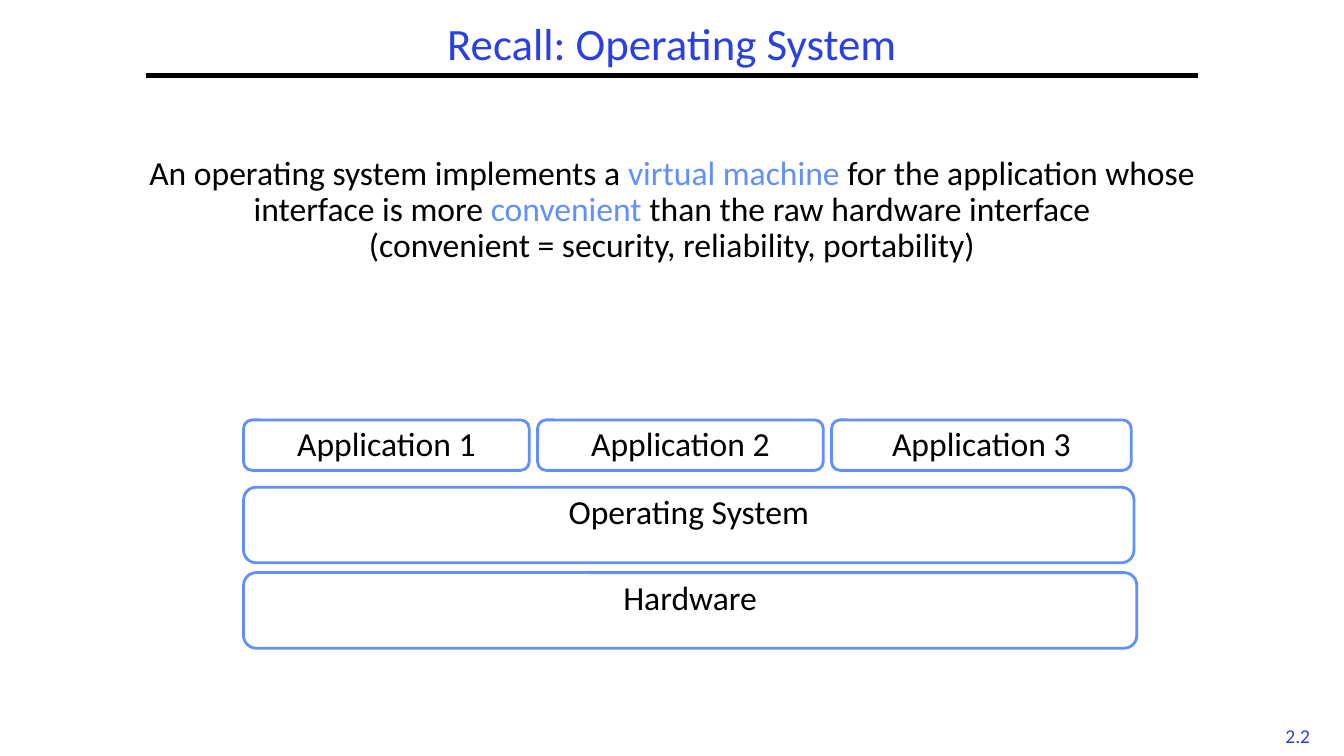
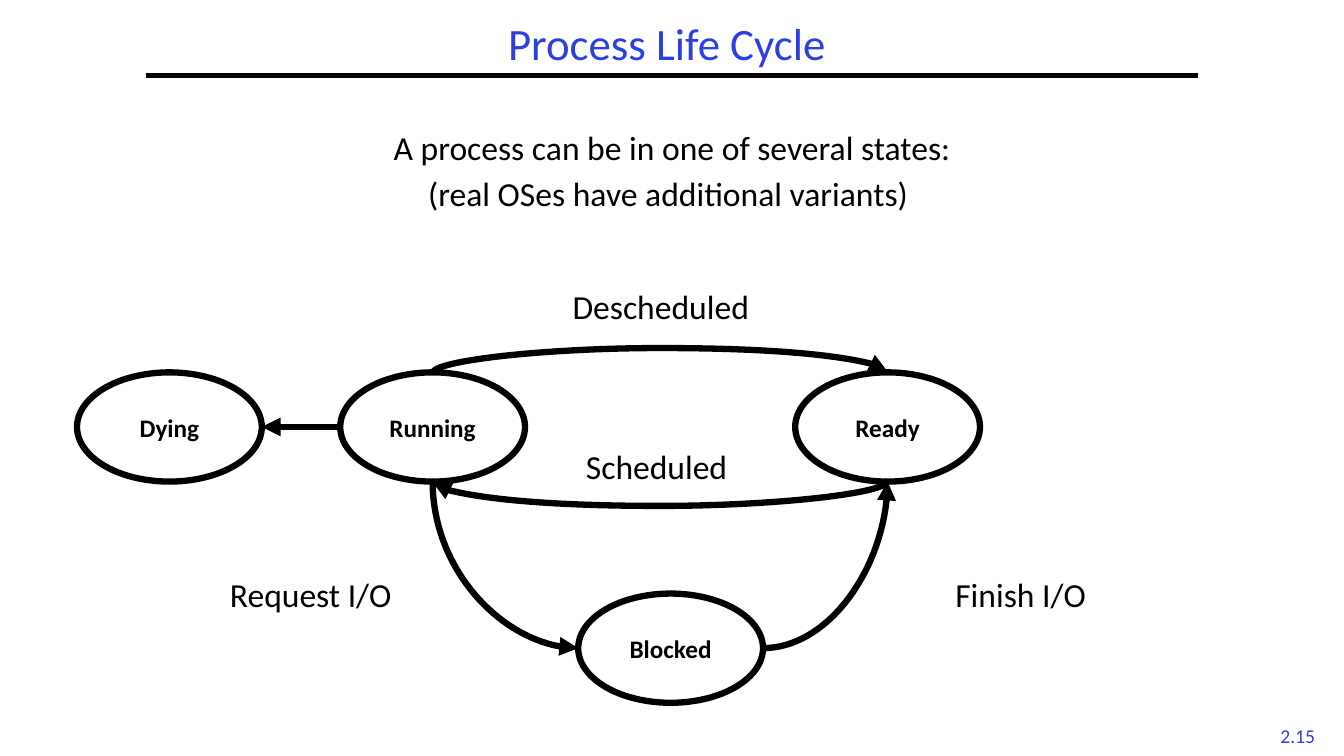
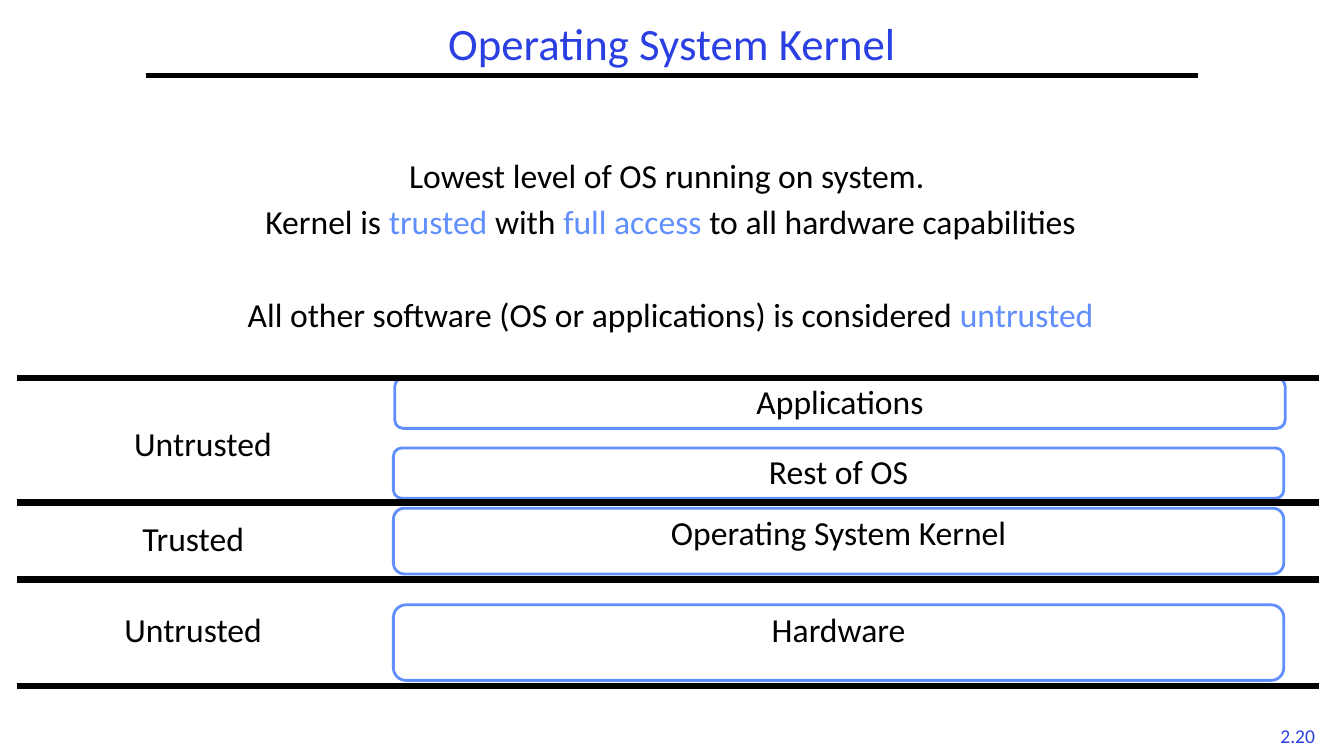
import pptx
import pptx.dml.color
import pptx.enum.shapes
import pptx.enum.text
import pptx.oxml.ns
import pptx.oxml.xmlchemy
import pptx.util

Pt = pptx.util.Pt
RGBColor = pptx.dml.color.RGBColor
qn = pptx.oxml.ns.qn
OxmlElement = pptx.oxml.xmlchemy.OxmlElement
Shapes = pptx.enum.shapes.MSO_SHAPE
Anchor = pptx.enum.text.MSO_ANCHOR
Align = pptx.enum.text.PP_ALIGN

FONT = "Calibri"
BLACK = RGBColor(0x00, 0x00, 0x00)
WHITE = RGBColor(0xFF, 0xFF, 0xFF)
TITLE_BLUE = RGBColor(0x2A, 0x40, 0xE2)
ACCENT_BLUE = RGBColor(0x61, 0x8F, 0xFD)

TEXT_SIZE = 24
HEAVY_LINE = 4.5
PARA_GAP = 7.2
TOP, LEFT, BOTTOM, RIGHT = 0, 2, 4, 6
SITES = {TOP: (0.5, 0), LEFT: (0, 0.5), BOTTOM: (0.5, 1), RIGHT: (1, 0.5)}


def format_para(para, size, color=BLACK, bold=False, spacing=0.9):
    """Centre a paragraph and set the font of its runs."""
    para.alignment = Align.CENTER
    para.line_spacing = spacing
    for span in para.runs:
        span.font.name = FONT
        span.font.size = Pt(size)
        span.font.bold = bold
        span.font.color.rgb = color


def place(shape, left, top, width, height):
    """Move and size a shape, in points."""
    shape.left, shape.top = Pt(left), Pt(top)
    shape.width, shape.height = Pt(width), Pt(height)


def add_label(page, text, left, top, width, height=36, size=TEXT_SIZE,
              color=BLACK, wrap=True):
    """Add a centred text box."""
    box = page.shapes.add_textbox(Pt(left), Pt(top), Pt(width), Pt(height))
    box.text_frame.word_wrap = wrap
    box.text_frame.text = text
    format_para(box.text_frame.paragraphs[0], size, color)


def add_node(page, kind, text, bounds, line_color, line_width):
    """Add a white outlined shape holding one centred line of text."""
    node = page.shapes.add_shape(kind, *map(Pt, bounds))
    node.shadow.inherit = False
    node.fill.solid()
    node.fill.fore_color.rgb = WHITE
    node.line.color.rgb = line_color
    node.line.width = Pt(line_width)
    node.text_frame.text = text
    return node


def add_layer(page, text, left, top, width, height):
    """Add a rounded box for one layer of the system."""
    layer = add_node(page, Shapes.ROUNDED_RECTANGLE, text,
                     (left, top, width, height), ACCENT_BLUE, 2)
    layer.text_frame.vertical_anchor = Anchor.TOP
    format_para(layer.text_frame.paragraphs[0], TEXT_SIZE)


def add_state(page, text, left, top):
    """Add an ellipse for one process state."""
    state = add_node(page, Shapes.OVAL, text, (left, top, 132, 78),
                     BLACK, HEAVY_LINE)
    state.text_frame.vertical_anchor = Anchor.MIDDLE
    format_para(state.text_frame.paragraphs[0], 18, bold=True, spacing=1.0)
    return state


def add_line(page, left, top, right, bottom, width=HEAVY_LINE):
    """Add a straight black line without shadow."""
    line = page.shapes.add_connector(
        pptx.enum.shapes.MSO_CONNECTOR.STRAIGHT,
        Pt(left), Pt(top), Pt(right), Pt(bottom))
    line.line.color.rgb = BLACK
    line.line.width = Pt(width)
    line._element.spPr.append(OxmlElement("a:effectLst"))
    return line


def site_point(state, site):
    """Return a connection site of a state, in points."""
    across, down = SITES[site]
    return (state.left.pt + across * state.width.pt,
            state.top.pt + down * state.height.pt)


def add_transition(page, start, start_site, end, end_site, preset,
                   rotation=0, flips="", bulge=0):
    """Add a glued arrow between two states."""
    x1, y1 = site_point(start, start_site)
    x2, y2 = site_point(end, end_site)
    arrow = add_line(page, x1, y1, x2, y2)
    arrow.begin_connect(start, 0)
    arrow.end_connect(end, 0)
    element = arrow._element
    for tag, site in (("a:stCxn", start_site), ("a:endCxn", end_site)):
        next(element.iter(qn(tag))).set("idx", str(site))

    width, height = abs(x2 - x1), abs(y2 - y1)
    if rotation % 180:
        width, height = height, width
    if bulge:
        width = max(width, 1)
    place(arrow, (x1 + x2 - width) / 2, (y1 + y2 - height) / 2, width, height)
    frame = element.spPr.find(qn("a:xfrm"))
    frame.set("rot", str(rotation * 60000))
    frame.set("flipH", str(int("h" in flips)))
    frame.set("flipV", str(int("v" in flips)))

    geometry = element.spPr.find(qn("a:prstGeom"))
    geometry.set("prst", preset)
    if bulge:
        guide = OxmlElement("a:gd")
        guide.set("name", "adj1")
        guide.set("fmla", f"val {round(bulge / width * 100000)}")
        geometry.find(qn("a:avLst")).append(guide)
    head = OxmlElement("a:tailEnd")
    head.set("type", "triangle")
    element.spPr.find(qn("a:ln")).append(head)


def fill_body(body, bounds, lines):
    """Write (gap, text) lines, with *starred* words in the accent colour."""
    place(body, *bounds)
    frame = body.text_frame
    frame.auto_size = pptx.enum.text.MSO_AUTO_SIZE.NONE
    frame.vertical_anchor = Anchor.TOP
    for index, (gap, text) in enumerate(lines):
        para = frame.add_paragraph() if index else frame.paragraphs[0]
        settings = para._p.get_or_add_pPr()
        settings.set("marL", "0")
        settings.set("indent", "0")
        settings.append(OxmlElement("a:buNone"))
        para.space_before = Pt(gap)
        for piece in text.split("*"):
            para.add_run().text = piece
        format_para(para, TEXT_SIZE)
        for span in para.runs[1::2]:
            span.font.color.rgb = ACCENT_BLUE


def add_page(deck, title, number, body_bounds, lines):
    """Add a slide with title, rule, page number and body text."""
    page = deck.slides.add_slide(deck.slide_layouts[1])
    heading = page.shapes.title
    place(heading, 104, 12, 752, 42)
    heading.text_frame.text = title
    heading.text_frame.auto_size = pptx.enum.text.MSO_AUTO_SIZE.NONE
    heading.text_frame.vertical_anchor = Anchor.MIDDLE
    format_para(heading.text_frame.paragraphs[0], 32, TITLE_BLUE)
    add_line(page, 104, 54, 856, 54, 3)
    add_label(page, number, 906, 515.5, 42, 24, 14, TITLE_BLUE, wrap=False)
    fill_body(page.placeholders[1], body_bounds, lines)
    return page


def draw_system_stack(page, left, top):
    """Draw three applications above the operating system and hardware."""
    for index, width in enumerate((204, 204, 214)):
        add_layer(page, f"Application {index + 1}",
                  left + 210 * index, top, width, 36)
    add_layer(page, "Operating System", left, top + 48, 636, 54)
    add_layer(page, "Hardware", left, top + 109, 638, 54)


def draw_life_cycle(page, left, top):
    """Draw the process states and the transitions between them."""
    dying = add_state(page, "Dying", left, top + 62)
    running = add_state(page, "Running", left + 188, top + 62)
    ready = add_state(page, "Ready", left + 513, top + 62)
    blocked = add_state(page, "Blocked", left + 358, top + 220)
    transitions = (
        (running, TOP, ready, TOP, "curvedConnector3", 90, "hv", 18),
        (ready, BOTTOM, running, BOTTOM, "curvedConnector3", 90, "", 18),
        (running, BOTTOM, blocked, LEFT, "curvedConnector2", 270, "h"),
        (blocked, RIGHT, ready, BOTTOM, "curvedConnector2", 0, "v"),
        (running, LEFT, dying, RIGHT, "straightConnector1", 0, "h"),
    )
    for transition in transitions:
        add_transition(page, *transition)
    for text, across, down in (("Request I/O", 61, 206),
                               ("Finish I/O", 568, 206),
                               ("Descheduled", 311, 0),
                               ("Scheduled", 308, 114)):
        add_label(page, text, left + across, top + down, 212)


def draw_trust_bands(page, left, top, width):
    """Draw the system layers in bands of trust divided by heavy lines."""
    for text, across, down, height in (("Hardware", 269, 162, 54),
                                       ("Operating System Kernel", 269, 93, 47),
                                       ("Rest of OS", 269, 50, 36),
                                       ("Applications", 270, 0, 36)):
        add_layer(page, text, left + across, top + down, 636, height)
    for down in (0, 89, 144, 220):
        add_line(page, left, top + down, left + width, top + down)
    for text, across, down in (("Untrusted", 7, 32), ("Trusted", 0, 100),
                               ("Untrusted", 0, 165)):
        add_label(page, text, left + across, top + down, 252)


def main():
    """Build and save the deck."""
    deck = pptx.Presentation()
    deck.slide_width, deck.slide_height = Pt(960), Pt(540)

    page = add_page(deck, "Recall: Operating System", "2.2",
                    (64, 108, 832, 366), (
        (0, "An operating system implements a *virtual machine *for the "
            "application whose interface is more *convenient* than the raw "
            "hardware interface"),
        (0, "(convenient = security, reliability, portability)")))
    draw_system_stack(page, 174, 300)

    page = add_page(deck, "Process Life Cycle ", "2.15",
                    (64, 90, 832, 402), (
        (0, "A process can be in one of several states:"),
        (PARA_GAP, "(real OSes have additional variants) ")))
    draw_life_cycle(page, 55, 204)

    page = add_page(deck, "Operating System Kernel", "2.20",
                    (11, 110, 936, 384), (
        (0, "Lowest level of OS running on system. "),
        (PARA_GAP, "Kernel is *trusted* with *full access *to all hardware "
                   "capabilities"),
        (40.5, "All other software (OS or applications) is considered "
               "*untrusted*")))
    draw_trust_bands(page, 12, 270, 930)

    deck.save("out.pptx")


if __name__ == "__main__":
    main()
